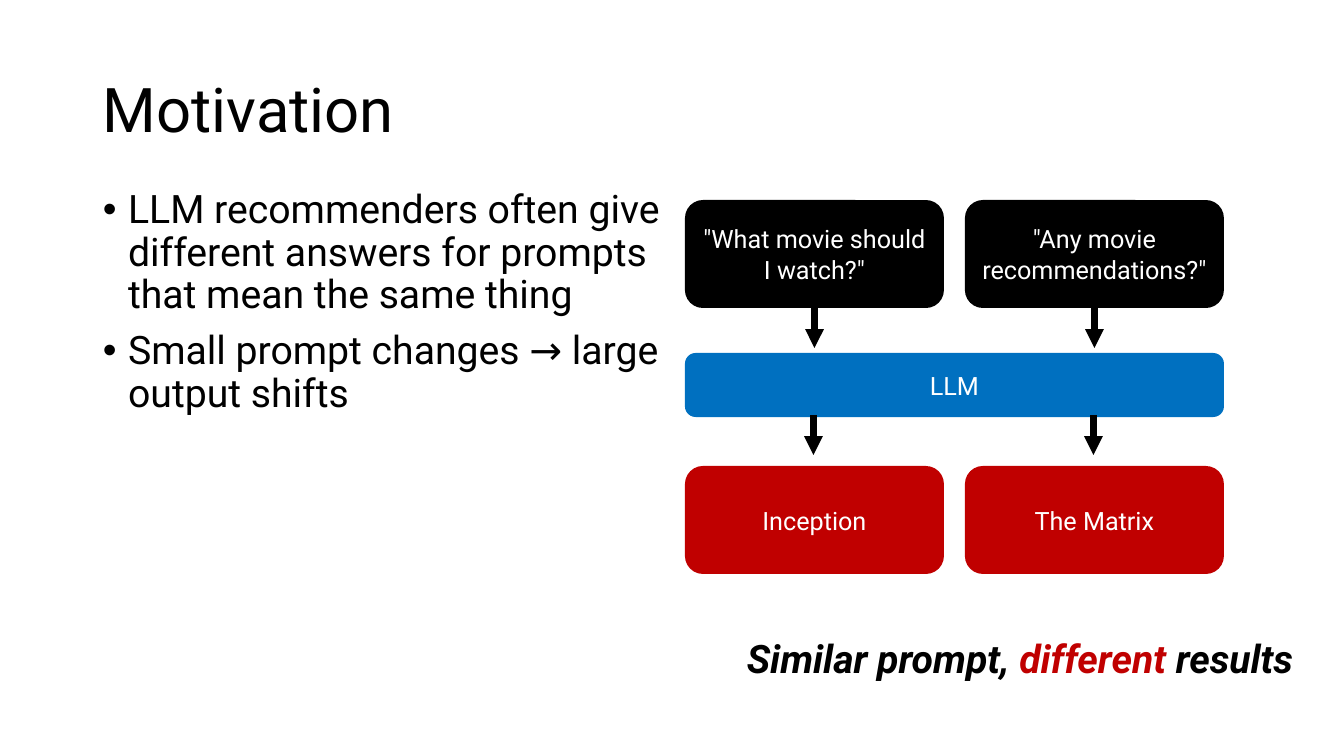
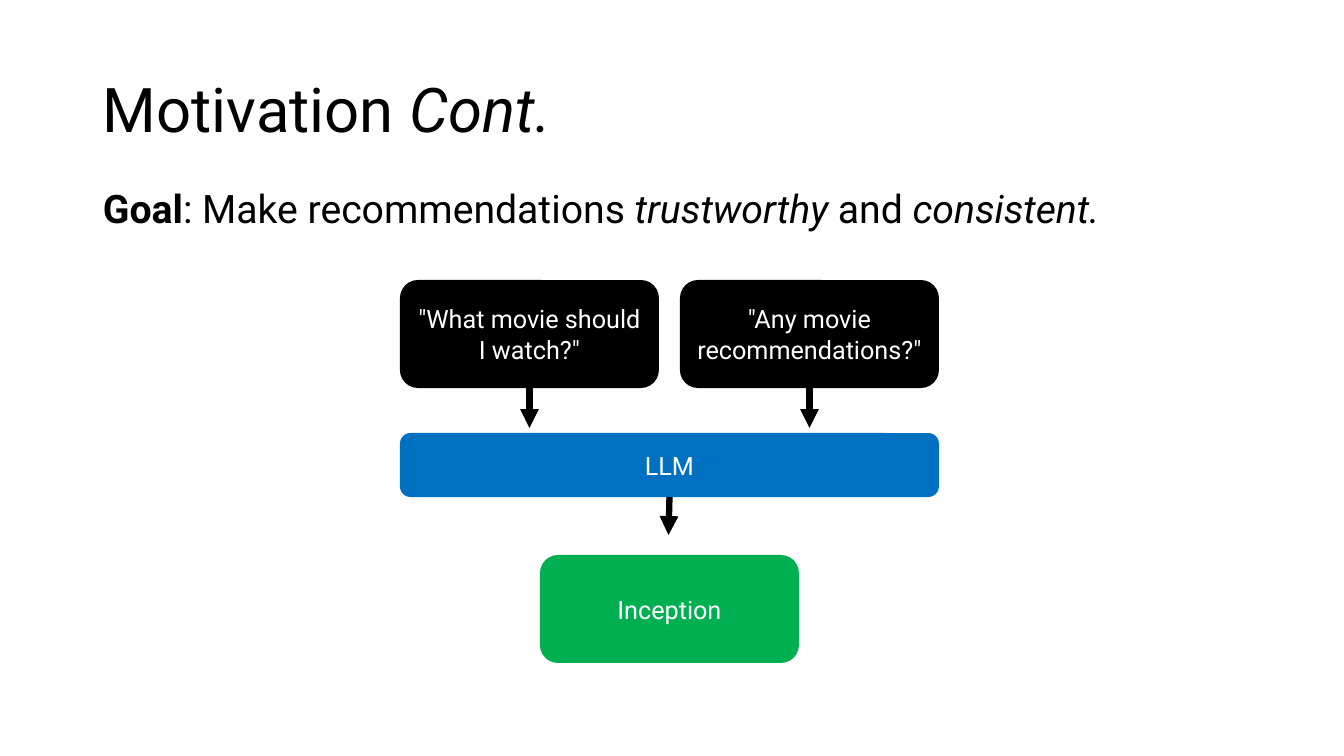
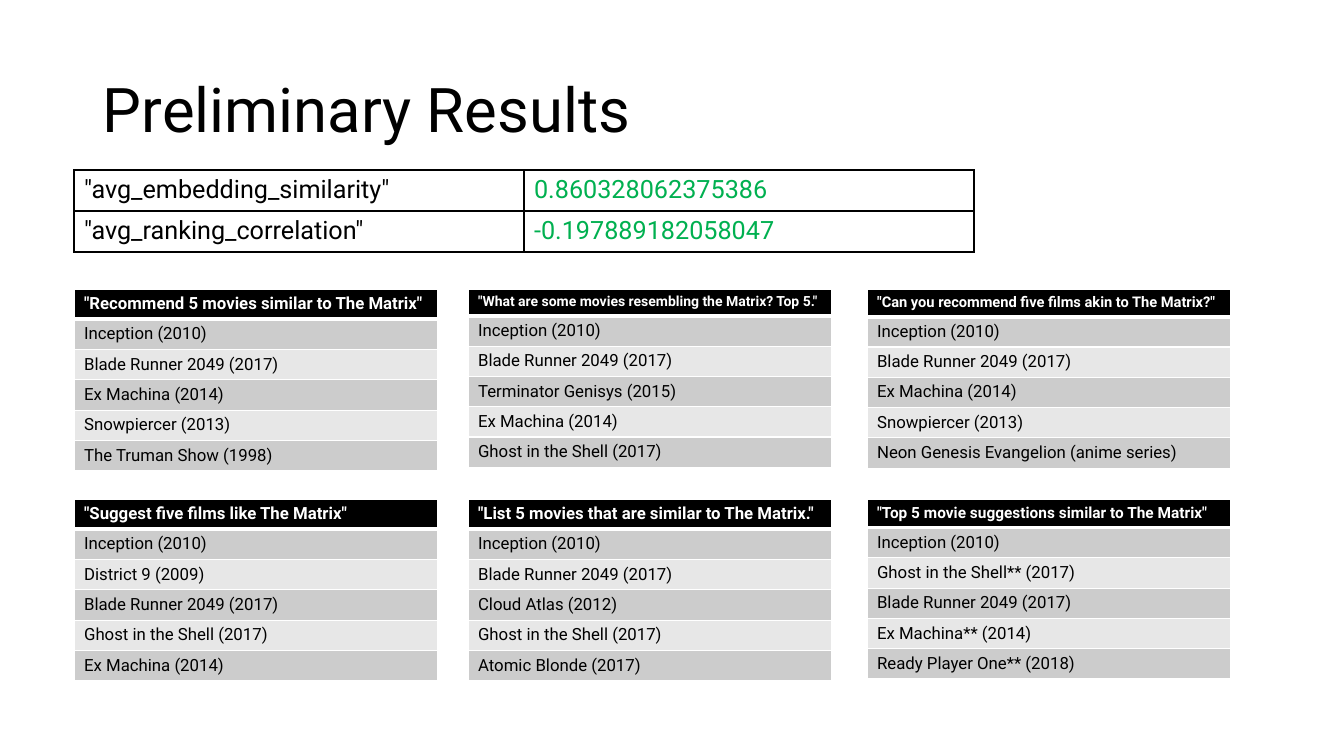
from lxml.etree import SubElement
from pptx import Presentation
from pptx.dml.color import RGBColor
from pptx.enum.shapes import MSO_CONNECTOR, MSO_SHAPE
from pptx.enum.text import MSO_ANCHOR, PP_ALIGN
from pptx.oxml.ns import qn
from pptx.util import Emu, Pt

WIDE, HIGH = 1344, 756
SCALE = 12192000 / WIDE
FONT = "Roboto"
BLACK, WHITE, BLUE = "000000", "FFFFFF", "0070C0"
RED, GREEN = "C00000", "00B050"
BANDS = ("CCCCCC", "E7E7E7")
TITLE = {"size": 44}
BODY = {"size": 28}
LABEL = {"size": 18, "color": WHITE}
HEAD = {"color": WHITE, "bold": True}
ITEM = {"size": 12}
LEAD = {"line_spacing": 0.9}
POINT = {"line_spacing": 0.9, "space_before": Pt(10)}
MID = {"alignment": PP_ALIGN.CENTER}
BOLD, SLANT = {"bold": True}, {"italic": True}
PROMPTS = ('"What movie should I watch?"', '"Any movie recommendations?"')


def px(count):
    """Turn pixels into EMU."""
    return Emu(round(count * SCALE))


def rgb(code):
    """Turn a hex string into a colour."""
    return RGBColor.from_string(code)


def apply(target, values):
    """Set every attribute named in values."""
    for name, value in values.items():
        setattr(target, name, value)


def write(frame, paras, look, form):
    """Fill a text frame with paragraphs made of (text, change) runs."""
    for index, runs in enumerate(paras):
        para = frame.add_paragraph() if index else frame.paragraphs[0]
        apply(para, form)
        for text, change in runs:
            style = {"name": FONT, "color": BLACK, **look, **change}
            run = para.add_run()
            run.text = text
            run.font.color.rgb = rgb(style.pop("color"))
            style["size"] = Pt(style["size"])
            apply(run.font, style)


def put_text(slide, box, paras, look, form, anchor=MSO_ANCHOR.TOP):
    """Place a wrapped text box and return its frame."""
    frame = slide.shapes.add_textbox(*map(px, box)).text_frame
    apply(frame, {"word_wrap": True, "vertical_anchor": anchor})
    write(frame, paras, look, form)
    return frame


def bullet(frame):
    """Give each paragraph a hanging bullet."""
    for para in frame.paragraphs:
        props = para._p.get_or_add_pPr()
        props.set("marL", "228600")
        props.set("indent", "-228600")
        SubElement(props, qn("a:buFont"), typeface="Arial")
        SubElement(props, qn("a:buChar"), char="•")


def put_title(deck, *runs):
    """Add a blank slide with a title."""
    slide = deck.slides.add_slide(deck.slide_layouts[6])
    put_text(slide, (93, 40, 1159, 146), [runs], TITLE, LEAD, MSO_ANCHOR.MIDDLE)
    return slide


def put_node(slide, box, text, color):
    """Draw a rounded box with a centred label."""
    node = slide.shapes.add_shape(MSO_SHAPE.ROUNDED_RECTANGLE, *map(px, box))
    node.shadow.inherit = False
    node.fill.solid()
    node.fill.fore_color.rgb = rgb(color)
    node.line.fill.background()
    apply(node.text_frame, {"word_wrap": True, "vertical_anchor": MSO_ANCHOR.MIDDLE})
    write(node.text_frame, [[(text, {})]], LABEL, MID)
    return node


def put_arrow(slide, x, y, source=None):
    """Draw a short arrow down, joined to the source box if given."""
    ends = map(px, (x, y, x, y + 40))
    arrow = slide.shapes.add_connector(MSO_CONNECTOR.STRAIGHT, *ends)
    if source is not None:
        arrow.begin_connect(source, 2)
    arrow.line.color.rgb = rgb(BLACK)
    arrow.line.width = Pt(4.5)
    SubElement(arrow.line._get_or_add_ln(), qn("a:tailEnd"), type="triangle")
    SubElement(arrow._element.spPr, qn("a:effectLst"))


def put_flow(slide, left, top, results, color, drop):
    """Draw prompts, model and results, with results drop below the top."""
    wide, high, step = 259, 108, 280
    span = step + wide
    for index, text in enumerate(PROMPTS):
        x = left + index * step
        node = put_node(slide, (x, top, wide, high), text, BLACK)
        put_arrow(slide, x + wide / 2, top + high, node)
    model = put_node(slide, (left, top + 153, span, 64), "LLM", BLUE)
    start = left + (span - wide - step * (len(results) - 1)) / 2
    for index, text in enumerate(results):
        x = start + index * step
        put_node(slide, (x, top + drop, wide, high), text, color)
        put_arrow(slide, x + wide / 2 - 1, top + 215, model if len(results) == 1 else None)


def edge(cell, color, **widths):
    """Set the four borders of a cell in points."""
    props = cell._tc.get_or_add_tcPr()
    for side in "LRTB":
        width = str(Pt(widths.get(side, 1)))
        line = SubElement(props, qn(f"a:ln{side}"), w=width)
        fill = SubElement(line, qn("a:solidFill"))
        SubElement(fill, qn("a:srgbClr"), val=color)


def put_grid(slide, box, rows, cols):
    """Add a table without style bands."""
    table = slide.shapes.add_table(rows, cols, *map(px, box)).table
    apply(table, {"first_row": False, "horz_banding": False})
    return table


def put_list(slide, left, top, head, size, items):
    """Draw a one-column table with a black head and grey bands."""
    table = put_grid(slide, (left, top, 364, 120), len(items) + 1, 1)
    for row, text in enumerate((head, *items)):
        cell = table.cell(row, 0)
        edge(cell, WHITE, T=3 if row == 1 else 1, B=1 if row else 3)
        cell.fill.solid()
        cell.fill.fore_color.rgb = rgb(BANDS[(row - 1) % 2] if row else BLACK)
        look = ITEM if row else {**HEAD, "size": size}
        write(cell.text_frame, [[(text, {})]], look, {})


def put_scores(slide, left, top, scores):
    """Draw the table of measures and values."""
    table = put_grid(slide, (left, top, 900, 82), len(scores), 2)
    for row, pair in enumerate(scores):
        for col, text in enumerate(pair):
            cell = table.cell(row, col)
            edge(cell, BLACK)
            cell.fill.background()
            look = {"size": 18, "color": GREEN if col else BLACK}
            write(cell.text_frame, [[(text, {})]], look, {})


def make_issue(deck):
    """Build the slide on differing answers."""
    slide = put_title(deck, ("Motivation", {}))
    points = (
        "LLM recommenders often give different answers for prompts that mean the same thing",
        "Small prompt changes → large output shifts",
    )
    paras = [[(text, {})] for text in points]
    bullet(put_text(slide, (93, 185, 585, 474), paras, BODY, POINT))
    put_flow(slide, 685, 200, ("Inception", "The Matrix"), RED, 266)
    runs = [("Similar prompt, ", {}), ("different ", {"color": RED}), ("results", {})]
    look = {**BODY, **BOLD, **SLANT}
    put_text(slide, (737, 606, 583, 109), [runs], look, LEAD, MSO_ANCHOR.MIDDLE)


def make_goal(deck):
    """Build the slide on the goal."""
    slide = put_title(deck, ("Motivation ", {}), ("Cont.", SLANT))
    runs = [
        ("Goal", BOLD),
        (": Make recommendations ", {}),
        ("trustworthy ", SLANT),
        ("and ", {}),
        ("consistent.", SLANT),
    ]
    put_text(slide, (93, 185, 1077, 477), [runs], BODY, POINT)
    put_flow(slide, 400, 280, ("Inception",), GREEN, 275)


def make_results(deck):
    """Build the slide of scores and film lists."""
    slide = put_title(deck, ("Preliminary Results", {}))
    scores = (
        ('"avg_embedding_similarity"', "0.860328062375386"),
        ('"avg_ranking_correlation"', "-0.197889182058047"),
    )
    put_scores(slide, 74, 170, scores)
    first, blade, machina = "Inception (2010)", "Blade Runner 2049 (2017)", "Ex Machina (2014)"
    snow, ghost = "Snowpiercer (2013)", "Ghost in the Shell (2017)"
    lists = (
        ('"Recommend 5 movies similar to The Matrix"', 12,
         (first, blade, machina, snow, "The Truman Show (1998)")),
        ('"What are some movies resembling the Matrix? Top 5."', 10,
         (first, blade, "Terminator Genisys (2015)", machina, ghost)),
        ('"Can you recommend five films akin to The Matrix?"', 10.5,
         (first, blade, machina, snow, "Neon Genesis Evangelion (anime series)")),
        ('"Suggest five films like The Matrix"', 12,
         (first, "District 9 (2009)", blade, ghost, machina)),
        ('"List 5 movies that are similar to The Matrix."', 12,
         (first, blade, "Cloud Atlas (2012)", ghost, "Atomic Blonde (2017)")),
        ('"Top 5 movie suggestions similar to The Matrix"', 11,
         (first, "Ghost in the Shell** (2017)", blade, "Ex Machina** (2014)",
          "Ready Player One** (2018)")),
    )
    lefts = (74, 468, 867)
    for index, entry in enumerate(lists):
        row, col = divmod(index, len(lefts))
        put_list(slide, lefts[col], 289 + row * 210, *entry)


def main():
    """Build and save the deck."""
    deck = Presentation()
    apply(deck, {"slide_width": px(WIDE), "slide_height": px(HIGH)})
    for make in (make_issue, make_goal, make_results):
        make(deck)
    deck.save("out.pptx")


if __name__ == "__main__":
    main()
